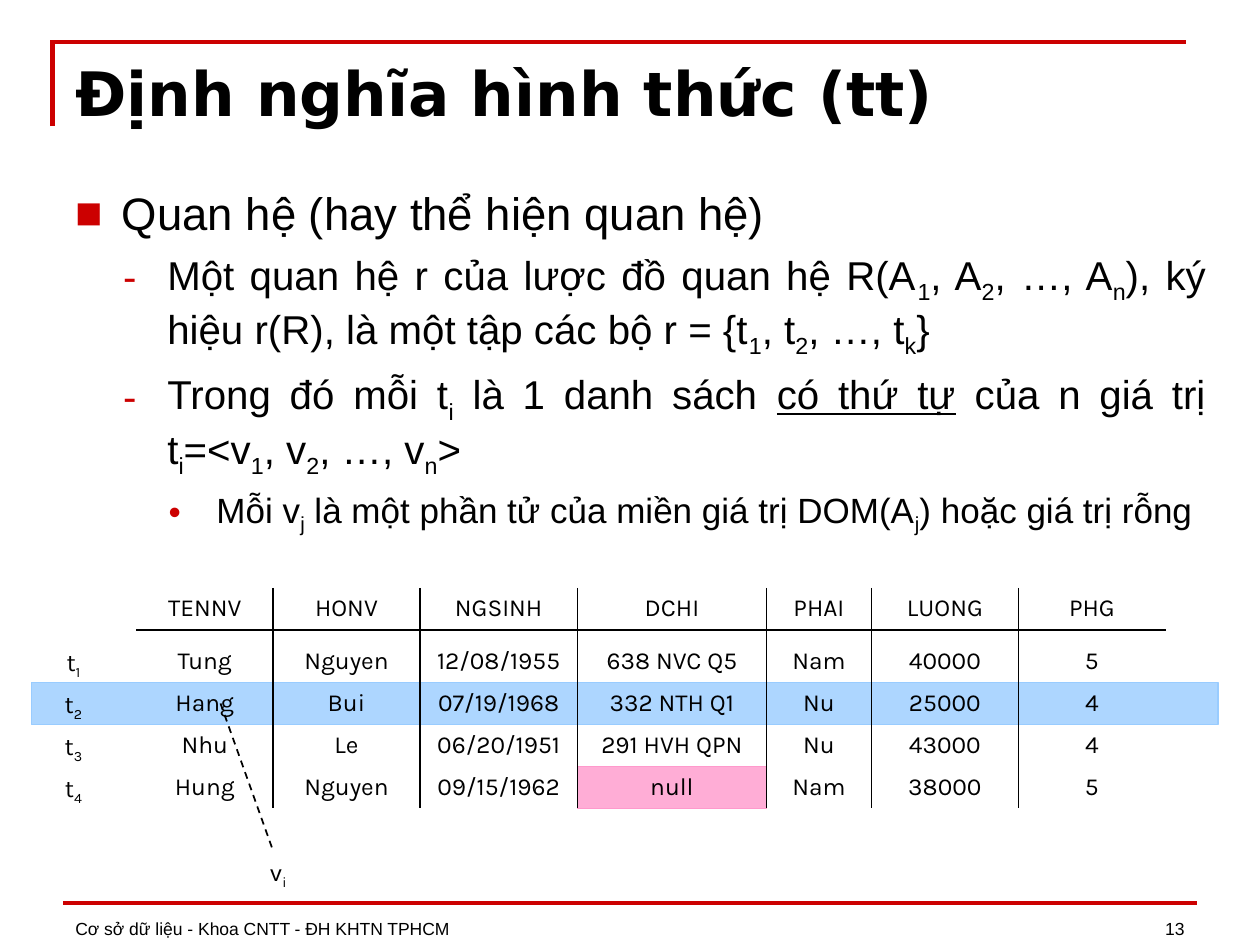
"""Build the slide on the formal definition of a relation, with its sample table."""
from dataclasses import dataclass
from itertools import accumulate

from lxml.etree import SubElement
from pptx import Presentation
from pptx.dml.color import RGBColor
from pptx.enum.dml import MSO_LINE as Dash
from pptx.enum.shapes import MSO_CONNECTOR as Connector, MSO_SHAPE as Shape
from pptx.enum.text import MSO_ANCHOR as Anchor, PP_ALIGN as Align
from pptx.oxml.ns import qn
from pptx.util import Inches, Pt

TITLE = "Định nghĩa hình thức (tt)"
FOOTER = "Cơ sở dữ liệu - Khoa CNTT - ĐH KHTN TPHCM"
PAGE_NUMBER = "13"
SUB, UNDER = "sub", "under"
BODY = [
    (0, ["Quan hệ (hay thể hiện quan hệ)"]),
    (1, ["Một quan hệ r của lược đồ quan hệ R(A", ("1", SUB), ", A", ("2", SUB), ", …, A",
         ("n", SUB), "), ký hiệu r(R), là một tập các bộ r = {t", ("1", SUB), ", t",
         ("2", SUB), ", …, t", ("k", SUB), "}"]),
    (1, ["Trong đó mỗi t", ("i", SUB), " là 1 danh sách ", ("có thứ tự", UNDER),
         " của n giá trị t", ("i", SUB), "=<v", ("1", SUB), ", v", ("2", SUB), ", …, v",
         ("n", SUB), ">"]),
    (2, ["Mỗi v", ("j", SUB), " là một phần tử của miền giá trị DOM(A", ("j", SUB),
         ") hoặc giá trị rỗng"]),
]
LEVELS = [
    {"bullet": "■", "left": 0.37, "hang": 0.37, "size": 26, "before": 6.5},
    {"bullet": "-", "left": 0.73, "hang": 0.35, "size": 23, "before": 5.8},
    {"bullet": "•", "left": 1.12, "hang": 0.38, "size": 20, "before": 5},
]
EMPLOYEES = [
    ["TENNV", "HONV", "NGSINH", "DCHI", "PHAI", "LUONG", "PHG"],
    ["Tung", "Nguyen", "12/08/1955", "638 NVC Q5", "Nam", "40000", "5"],
    ["Hang", "Bui", "07/19/1968", "332 NTH Q1", "Nu", "25000", "4"],
    ["Nhu", "Le", "06/20/1951", "291 HVH QPN", "Nu", "43000", "4"],
    ["Hung", "Nguyen", "09/15/1962", "null", "Nam", "38000", "5"],
]
COLUMNS = [13, 14, 15, 18, 10, 14, 14]
ROWS = [4, 5, 4, 4, 4]
TABLE_LEFT, TABLE_TOP, ROW = 13, 56, 4
COLUMN_EDGES = list(accumulate(COLUMNS, initial=TABLE_LEFT))
ROW_EDGES = list(accumulate(ROWS, initial=TABLE_TOP))


@dataclass(frozen=True)
class Theme:
    red: str = "CC0000"
    black: str = "000000"
    pink: str = "FF99CC"
    blue: str = "99CCFF"
    heading: str = "DejaVu Sans"
    text: str = "Arial"
    data: str = "Karla"
    title_size: int = 35
    data_size: int = 14
    footer_size: int = 10


THEME = Theme()


def cells(count):
    """Turn twelfths of an inch into a length."""
    return Inches(count / 12)


def color(code):
    return RGBColor.from_string(code)


def add_runs(para, runs, font, size, bold=False):
    for item in runs:
        words, style = (item, None) if isinstance(item, str) else item
        span = para.add_run()
        span.text = words
        span.font.name, span.font.size, span.font.bold = font, Pt(size), bold
        span.font.color.rgb = color(THEME.black)
        if style == UNDER:
            span.font.underline = True
        if style == SUB:
            span.font._element.set("baseline", "-25000")


def add_box(page, left, top, width, height, anchor=Anchor.TOP):
    box = page.shapes.add_textbox(Inches(left), Inches(top), Inches(width), Inches(height))
    box.text_frame.word_wrap = True
    box.text_frame.vertical_anchor = anchor
    return box.text_frame


def add_line(page, start, end, ink, width, dash=None):
    line = page.shapes.add_connector(Connector.STRAIGHT, *map(cells, start + end))
    line.line.color.rgb, line.line.width = color(ink), Pt(width)
    if dash:
        line.line.dash_style = dash
    SubElement(line._element.spPr, qn("a:effectLst"))


def add_band(page, left, top, width, ink):
    band = page.shapes.add_shape(Shape.RECTANGLE, *map(cells, (left, top, width, ROW)))
    band.shadow.inherit = False
    band.fill.solid()
    band.fill.fore_color.rgb = band.line.color.rgb = color(ink)
    band.line.width = Pt(1)
    shade = band._element.spPr.find(qn("a:solidFill"))[0]
    SubElement(shade, qn("a:alpha"), val="80000")


def add_bullet(para, level):
    props = para._p.get_or_add_pPr()
    props.set("marL", str(Inches(level["left"])))
    props.set("indent", str(-Inches(level["hang"])))
    SubElement(SubElement(props, qn("a:buClr")), qn("a:srgbClr"), val=THEME.red)
    SubElement(props, qn("a:buFont"), typeface=THEME.text)
    SubElement(props, qn("a:buChar"), char=level["bullet"])


def add_body(page):
    frame = add_box(page, 0.5, 1.42, 9.17, 3.1)
    for index, (depth, runs) in enumerate(BODY):
        level = LEVELS[depth]
        para = frame.add_paragraph() if index else frame.paragraphs[0]
        add_bullet(para, level)
        para.level, para.alignment = depth, Align.JUSTIFY
        if index:
            para.space_before = Pt(level["before"])
        add_runs(para, runs, THEME.text, level["size"])


def clear_borders(cell):
    props = cell._tc.get_or_add_tcPr()
    for index, side in enumerate("LRTB"):
        border = SubElement(props, qn(f"a:ln{side}"))
        SubElement(border, qn("a:noFill"))
        props.insert(index, border)


def add_employees(page):
    area = map(cells, (TABLE_LEFT, TABLE_TOP, sum(COLUMNS), sum(ROWS)))
    table = page.shapes.add_table(len(ROWS), len(COLUMNS), *area).table
    table.first_row = table.horz_banding = False
    for column, width in zip(table.columns, COLUMNS):
        column.width = cells(width)
    for r, (values, height) in enumerate(zip(EMPLOYEES, ROWS)):
        table.rows[r].height = cells(height)
        for c, value in enumerate(values):
            cell = table.cell(r, c)
            cell.fill.background()
            clear_borders(cell)
            cell.margin_left = cell.margin_right = cell.margin_bottom = 0
            cell.margin_top = cells(height - ROW) + Inches(0.05)
            cell.vertical_anchor = Anchor.TOP
            para = cell.text_frame.paragraphs[0]
            para.alignment = Align.CENTER
            add_runs(para, [value], THEME.data, THEME.data_size)
    add_line(page, (TABLE_LEFT, ROW_EDGES[1]), (COLUMN_EDGES[-1], ROW_EDGES[1]), THEME.black, 1)
    for edge in COLUMN_EDGES[1:-1]:
        add_line(page, (edge, TABLE_TOP), (edge, ROW_EDGES[-1]), THEME.black, 1)


def add_label(page, letter, index, left, top, width):
    para = add_box(page, left / 12, top / 12, width / 12, 0.37).paragraphs[0]
    para.alignment = Align.CENTER
    add_runs(para, [letter, (index, SUB)], THEME.data, THEME.data_size)


def main():
    deck = Presentation()
    deck.slide_width, deck.slide_height = Inches(10), Inches(7.5)
    page = deck.slides.add_slide(deck.slide_layouts[6])

    corner = page.shapes.build_freeform(cells(5), cells(12))
    corner.add_line_segments([(cells(5), cells(4)), (cells(113), cells(4))], close=False)
    frame = corner.convert_to_shape()
    frame.shadow.inherit = False
    frame.fill.background()
    frame.line.color.rgb, frame.line.width = color(THEME.red), Pt(2.5)
    SubElement(frame._element.spPr.find(qn("a:ln")), qn("a:miter"), lim="800000")
    add_line(page, (6, 86), (114, 86), THEME.red, 2)

    for words, left, width, side in [(FOOTER, 0.5, 6.08, Align.LEFT),
                                     (PAGE_NUMBER, 7.17, 2.33, Align.RIGHT)]:
        para = add_box(page, left, 7, width, 0.5, Anchor.BOTTOM).paragraphs[0]
        para.alignment = side
        add_runs(para, [words], THEME.text, THEME.footer_size)

    add_band(page, COLUMN_EDGES[3], ROW_EDGES[4], COLUMNS[3], THEME.pink)
    add_band(page, 3, ROW_EDGES[2], 113, THEME.blue)
    title = add_box(page, 0.5, 0.39, 9, 0.68, Anchor.BOTTOM).paragraphs[0]
    add_runs(title, [TITLE], THEME.heading, THEME.title_size, bold=True)
    add_body(page)
    add_employees(page)
    for number, bottom in enumerate(ROW_EDGES[2:], 1):
        add_label(page, "t", str(number), 2, bottom - ROW, 10)
    add_label(page, "v", "i", 21, 81, 11)
    add_line(page, (21, 67), (26, 81), THEME.black, 1, Dash.DASH)
    deck.save("out.pptx")


if __name__ == "__main__":
    main()
